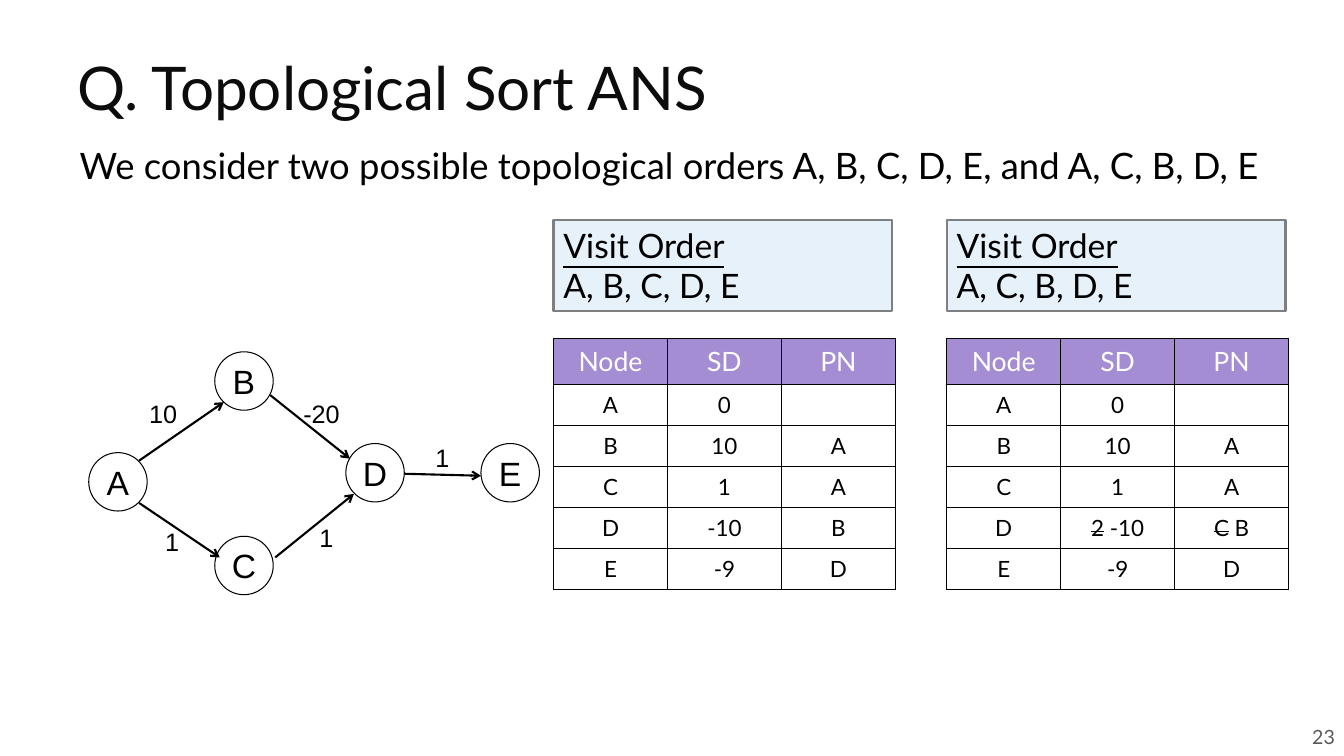
from lxml.etree import SubElement
from pptx import Presentation
from pptx.dml.color import RGBColor
from pptx.enum.shapes import MSO_CONNECTOR, MSO_SHAPE
from pptx.enum.text import MSO_ANCHOR, PP_ALIGN
from pptx.oxml.ns import qn
from pptx.util import Inches, Pt

BLACK = RGBColor(0x00, 0x00, 0x00)
WHITE = RGBColor(0xFF, 0xFF, 0xFF)
TITLE_INK = RGBColor(0x0C, 0x0C, 0x0C)
NUMBER_GRAY = RGBColor(0x59, 0x59, 0x59)
BORDER_GRAY = RGBColor(0x7F, 0x7F, 0x7F)
PALE_BLUE = RGBColor(0xE7, 0xF1, 0xFA)
PURPLE = RGBColor(0xA4, 0x8D, 0xD3)

deck = Presentation()
deck.slide_width, deck.slide_height = Inches(13.33), Inches(7.5)
page = deck.slides.add_slide(deck.slide_layouts[6])


def format_text(frame, size, color=BLACK, font="Lato", align=PP_ALIGN.LEFT):
    for para in frame.paragraphs:
        para.alignment = align
        for span in para.runs:
            span.font.size = Pt(size)
            span.font.name = font
            span.font.bold = False
            span.font.color.rgb = color


def add_text(text, left, top, width, height, size, **style):
    box = page.shapes.add_textbox(Inches(left), Inches(top), Inches(width), Inches(height))
    frame = box.text_frame
    frame.word_wrap = True
    frame.text = text
    format_text(frame, size, **style)
    return frame


# Slide number, title and introduction
number = add_text(" 23", 12.71, 7.09, 0.63, 0.43, 14, color=NUMBER_GRAY, align=PP_ALIGN.RIGHT)
number.vertical_anchor = MSO_ANCHOR.MIDDLE

title = add_text("Q. Topological Sort ANS", 0.67, 0.3, 12, 1.25, 43, color=TITLE_INK)
title.vertical_anchor = MSO_ANCHOR.MIDDLE
title.paragraphs[0].line_spacing = 0.8

intro = add_text("We consider two possible topological orders A, B, C, D, E, and A, C, B, D, E",
                 0.67, 1.42, 12.23, 0.66, 26)
intro.margin_left = Inches(0.12)
intro.margin_right = Inches(0.05)
intro.paragraphs[0].line_spacing = 0.9

# Visit orders with their tables; a "~" separates a struck value from its successor
HEADER = ["Node", "SD", "PN"]
TOP_ROWS = [HEADER, ["A", "0", ""], ["B", "10", "A"], ["C", "1", "A"]]
LAST_ROW = ["E", "-9", "D"]
solutions = [
    (5.49, "A, B, C, D, E", TOP_ROWS + [["D", "-10", "B"], LAST_ROW]),
    (9.39, "A, C, B, D, E", TOP_ROWS + [["D", "2~ -10", "C~ B"], LAST_ROW]),
]
for left, order, rows in solutions:
    panel = page.shapes.add_shape(MSO_SHAPE.RECTANGLE, Inches(left), Inches(2.18),
                                  Inches(3.36), Inches(0.91))
    panel.shadow.inherit = False
    panel.fill.solid()
    panel.fill.fore_color.rgb = PALE_BLUE
    panel.line.color.rgb = BORDER_GRAY
    panel.line.width = Pt(1.5)
    frame = panel.text_frame
    frame.vertical_anchor = MSO_ANCHOR.TOP
    frame.text = f"Visit Order\n{order}"
    format_text(frame, 24)
    frame.paragraphs[0].runs[0].font.underline = True

    table = page.shapes.add_table(len(rows), len(HEADER), Inches(left), Inches(3.36),
                                  Inches(3.39), Inches(2.44)).table
    table.first_row = table.horz_banding = False
    for column in table.columns:
        column.width = Inches(1.13)
    for r, values in enumerate(rows):
        table.rows[r].height = Inches(0.4 if r else 0.44)
        size, ink, fill = (16, BLACK, WHITE) if r else (19, WHITE, PURPLE)
        for c, value in enumerate(values):
            cell = table.cell(r, c)
            cell.margin_left = cell.margin_right = Inches(0.07)
            cell.margin_top = cell.margin_bottom = Inches(0.07)
            cell.vertical_anchor = MSO_ANCHOR.MIDDLE
            para = cell.text_frame.paragraphs[0]
            if value:
                for part in value.split("~"):
                    para.add_run().text = part
            format_text(cell.text_frame, size, ink, align=PP_ALIGN.CENTER)
            if "~" in value:
                para.runs[0].font._element.set("strike", "sngStrike")
            if not value:
                SubElement(para._p, qn("a:endParaRPr"), sz=str(size * 100))

            # Cell borders come before the fill in the cell properties
            properties = cell._tc.get_or_add_tcPr()
            for side in ("lnL", "lnR", "lnT", "lnB"):
                border = SubElement(properties, qn(f"a:{side}"), w=str(Pt(0.75)))
                solid = SubElement(border, qn("a:solidFill"))
                SubElement(solid, qn("a:srgbClr"), val=str(BLACK))
            cell.fill.solid()
            cell.fill.fore_color.rgb = fill

# Graph nodes
nodes = [("A", 0.88, 4.49), ("B", 2.13, 3.49), ("C", 2.13, 5.32),
         ("D", 3.43, 4.4), ("E", 4.77, 4.4)]
for name, left, top in nodes:
    node = page.shapes.add_shape(MSO_SHAPE.OVAL, Inches(left), Inches(top),
                                 Inches(0.58), Inches(0.58))
    node.shadow.inherit = False
    node.fill.solid()
    node.fill.fore_color.rgb = WHITE
    node.line.color.rgb = BLACK
    node.line.width = Pt(0.75)
    frame = node.text_frame
    frame.word_wrap = False
    frame.vertical_anchor = MSO_ANCHOR.MIDDLE
    frame.text = name
    format_text(frame, 24, font="Arial", align=PP_ALIGN.CENTER)

# Graph edges: start, end, weight and the weight's box (left, top, width)
edges = [
    ((1.38, 4.57), (2.22, 3.99), "10", (1.38, 3.9, 0.56)),
    ((1.38, 4.99), (2.18, 5.53), "1", (1.54, 5.17, 0.44)),
    ((2.68, 3.92), (3.47, 4.55), "-20", (2.91, 3.9, 0.58)),
    ((2.73, 5.53), (3.51, 4.9), "1", (3.07, 5.13, 0.44)),
    ((4.01, 4.7), (4.77, 4.72), "1", (4.22, 4.34, 0.44)),
]
for start, end, weight, place in edges:
    edge = page.shapes.add_connector(MSO_CONNECTOR.STRAIGHT,
                                     *(Inches(value) for value in start + end))
    edge.line.color.rgb = BLACK
    edge.line.width = Pt(1.5)
    SubElement(edge.line._get_or_add_ln(), qn("a:tailEnd"), type="arrow")
    SubElement(edge._element.spPr, qn("a:effectLst"))
    label = add_text(weight, *place, 0.4, 18, font="Arial")
    label.word_wrap = len(weight) < 3

deck.save("out.pptx")
